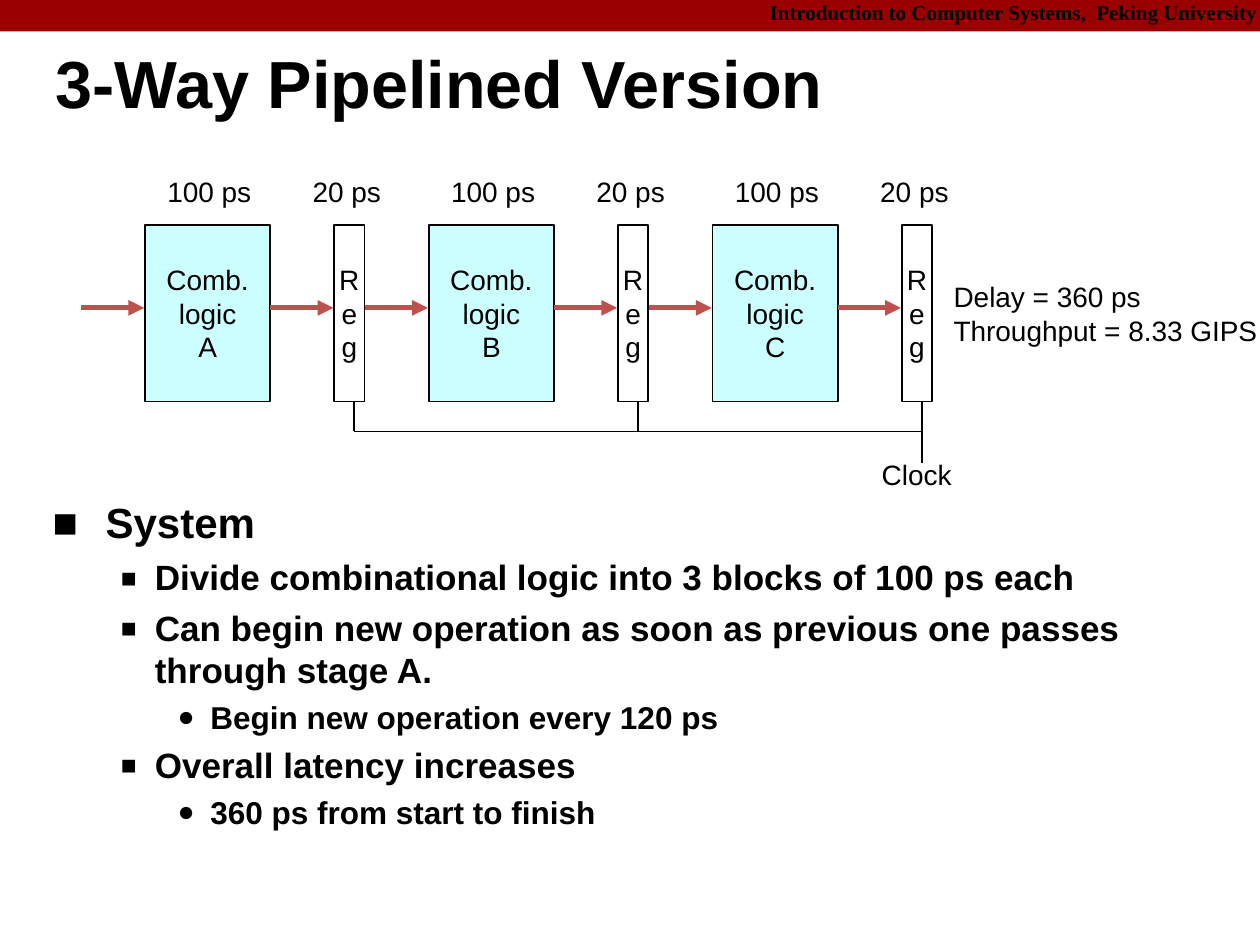
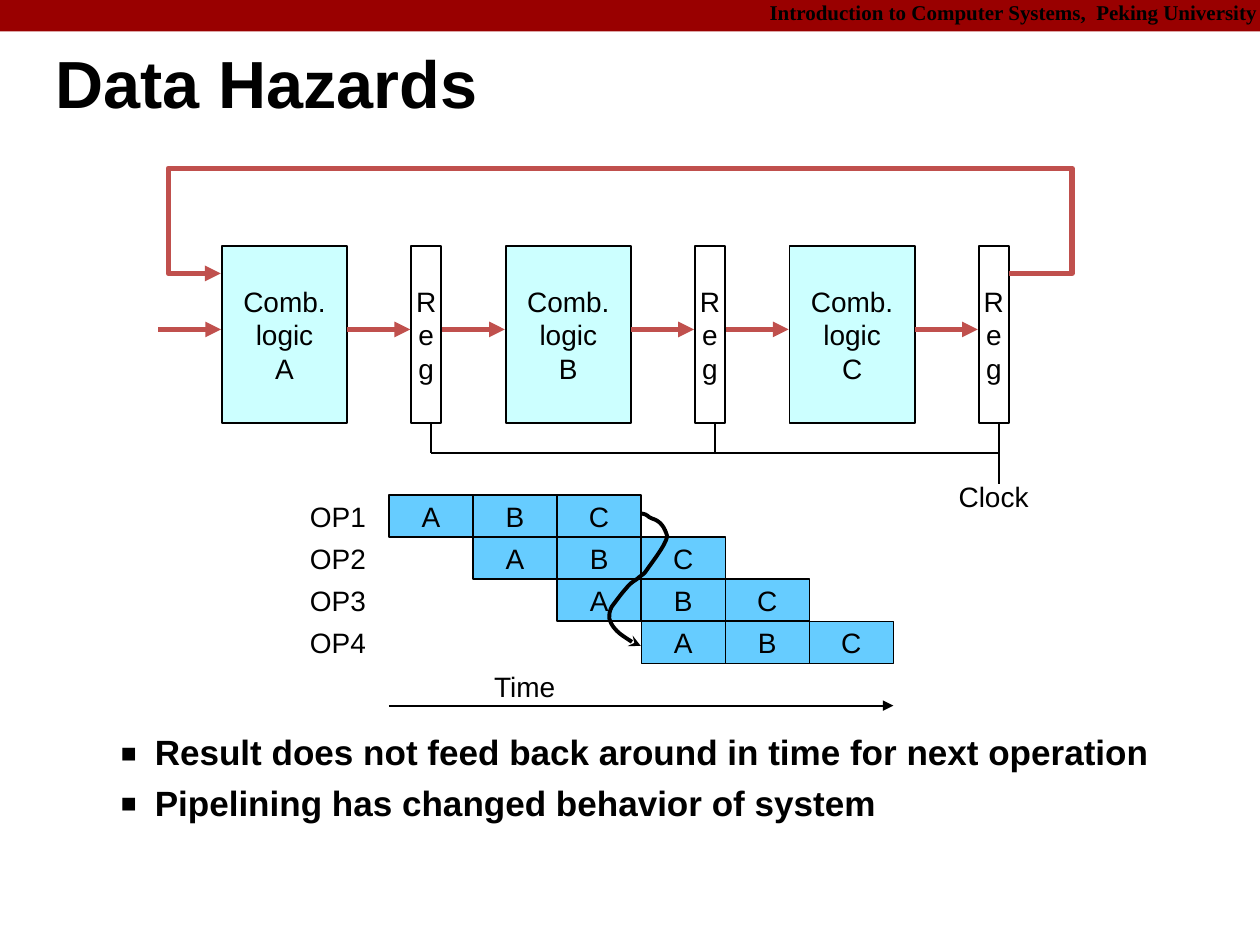
from lxml import etree
from pptx import Presentation
from pptx.dml.color import RGBColor
from pptx.enum import shapes, text
from pptx.oxml.ns import qn
from pptx.util import Pt

BLACK, WHITE, BAND, FLOW = "000000", "FFFFFF", "990000", "C0504D"
LOGIC, STAGE = "CCFFFF", "66CCFF"
RECT = shapes.MSO_SHAPE.RECTANGLE
STRAIGHT = shapes.MSO_CONNECTOR.STRAIGHT
LEFT, CENTER, RIGHT = text.PP_ALIGN.LEFT, text.PP_ALIGN.CENTER, text.PP_ALIGN.RIGHT
rgb = RGBColor.from_string

# Level: size, left margin, hanging indent, space before, line spacing, bullet, bullet %
LEVELS = [
    (24, 30.2, 30.2, 13.8, 0.95, "■", 100),
    (20, 58.3, 19.4, 5.25, 0.99, "■", 75),
    (18, 90, 18.7, 2, 1.07, "●", 90),
]
SLIDES = [
    {"title": "3-Way Pipelined Version", "left": 82.8, "top": 128.2, "body_top": 282,
     "body": [(0, "System"),
              (1, "Divide combinational logic into 3 blocks of 100 ps each"),
              (1, "Can begin new operation as soon as previous one passes through stage A."),
              (2, "Begin new operation every 120 ps"),
              (1, "Overall latency increases"),
              (2, "360 ps from start to finish")]},
    {"title": "Data Hazards", "left": 126.7, "top": 140.5, "body_top": 414.5,
     "body": [(1, "Result does not feed back around in time for next operation"),
              (1, "Pipelining has changed behavior of system")]},
]


def add_text(s, x, y, w, h, lines, size=16, bold=False, align=CENTER, font="Arial",
             spacing=None, fill=None, border=1):
    """Add a text box, or a bordered rectangle when a fill is given."""
    at = Pt(x), Pt(y), Pt(w), Pt(h)
    if fill:
        sp = s.shapes.add_shape(RECT, *at)
        sp.shadow.inherit = False
        sp.fill.solid()
        sp.fill.fore_color.rgb = rgb(fill)
        sp.line.color.rgb = rgb(BLACK)
        sp.line.width = Pt(border)
    else:
        sp = s.shapes.add_textbox(*at)
    tf = sp.text_frame
    tf.word_wrap = not fill
    tf.vertical_anchor = text.MSO_ANCHOR.MIDDLE if fill else text.MSO_ANCHOR.TOP
    for i, line in enumerate(lines):
        p = tf.add_paragraph() if i else tf.paragraphs[0]
        p.alignment = align
        p.line_spacing = spacing
        r = p.add_run()
        r.text = line
        r.font.name, r.font.size, r.font.bold = font, Pt(size), bold
        r.font.color.rgb = rgb(BLACK)
    return sp


def style_line(sp, color=BLACK, width=1, head=None):
    """Set stroke and arrowhead of a connector or freeform, without a shadow."""
    sp.line.color.rgb = rgb(color)
    sp.line.width = Pt(width)
    spPr = sp.element.spPr
    if head:
        etree.SubElement(spPr.find(qn("a:ln")), qn("a:tailEnd"), type=head)
    etree.SubElement(spPr, qn("a:effectLst"))


prs = Presentation()
prs.slide_width, prs.slide_height = Pt(719.3), Pt(539.3)

# Frame, title, pipeline and bullets of both slides
for content in SLIDES:
    s = prs.slides.add_slide(prs.slide_layouts[6])
    band = s.shapes.add_shape(RECT, 0, 0, prs.slide_width, Pt(18))
    band.shadow.inherit = False
    band.fill.solid()
    band.fill.fore_color.rgb = rgb(BAND)
    band.line.fill.background()
    add_text(s, 432, -2, 293, 20, ["Introduction to Computer Systems,  Peking University"],
             12, True, RIGHT, "Times New Roman", 0.9)
    tf = add_text(s, 31.7, 19.4, 685, 61.2, [content["title"]], 38, True, LEFT,
                  spacing=0.87).text_frame
    tf.margin_left = tf.margin_right = tf.margin_top = tf.margin_bottom = 0
    tf.vertical_anchor = text.MSO_ANCHOR.MIDDLE

    left, top = content["left"], content["top"]
    flow_y, bus_y = top + 47.5, top + 118
    lines = []
    for i, name in enumerate("ABC"):
        x = left + 162 * i
        reg_x, clock_x = x + 108, x + 119.5
        add_text(s, x, top, 71.5, 101, ["Comb.", "logic", name], fill=LOGIC)
        add_text(s, reg_x, top, 17.3, 101, "Reg", fill=WHITE)
        for end in (x, reg_x):
            lines.append((end - 36.5, flow_y, end - 0.5, flow_y, FLOW, 3, "triangle"))
        drop_end = top + 136 if name == "C" else bus_y
        lines.append((clock_x, top + 101, clock_x, drop_end, BLACK, 1, None))
    lines.append((left + 119.5, bus_y, clock_x, bus_y, BLACK, 1, None))
    for x1, y1, x2, y2, *style in lines:
        style_line(s.shapes.add_connector(STRAIGHT, Pt(x1), Pt(y1), Pt(x2), Pt(y2)), *style)
    add_text(s, clock_x - 38, top + 129.5, 70, 26, ["Clock"])

    body = content["body"]
    sp = add_text(s, 23, content["body_top"], 653, 506.5 - content["body_top"],
                  [line for _, line in body], bold=True, align=LEFT)
    paragraphs = zip(sp.text_frame.paragraphs, sp.element.iter(qn("a:pPr")), body)
    for p, pPr, (level, _) in paragraphs:
        size, margin, hang, before, spacing, bullet, percent = LEVELS[level]
        p.level = level
        p.runs[0].font.size = Pt(size)
        p.space_before, p.line_spacing = Pt(before), spacing
        pPr.set("marL", str(Pt(margin)))
        pPr.set("indent", str(-Pt(hang)))
        etree.SubElement(pPr, qn("a:buSzPct"), val=str(percent * 1000))
        etree.SubElement(pPr, qn("a:buFont"), typeface="Arial")
        etree.SubElement(pPr, qn("a:buChar"), char=bullet)

pipelined, hazards = prs.slides

# Delays above the pipeline
for i in range(3):
    add_text(pipelined, 80.5 + 162 * i, 95.8, 78, 26, ["100 ps"])
    add_text(pipelined, 163 + 162 * i, 95.8, 70, 26, ["20 ps"])
add_text(pipelined, 537.3, 156.2, 196, 45.5, ["Delay = 360 ps", "Throughput = 8.33 GIPS"],
         align=LEFT)

# Feedback from the last register to the first stage
feedback = [(576, 156), (612, 156), (612, 96), (96, 96), (96, 156), (126, 156)]

# Curve from the end of OP1 to the start of OP4: a start, then three points per Bézier
dependency = [
    (365.8, 293),
    (370.8, 293.8), (368.6, 294.5), (372.2, 295.9),
    (377.3, 297.4), (379.4, 301), (380.9, 306),
    (380.2, 311), (371.5, 321.8), (368.6, 326.2),
    (367.9, 327.6), (365, 329), (363.6, 330.5),
    (361.4, 331.9), (360, 332.6), (357.1, 336.2),
    (355, 338.4), (351.4, 343.4), (349.2, 346.3),
    (347.8, 349.2), (347.8, 350.6), (347.8, 352.8),
    (348.5, 355), (349.2, 357.1), (352.1, 360),
    (354.2, 362.2), (362.2, 367.2), (364.3, 368.6),
    (365.8, 367.9), (365.8, 367.9), (365.8, 368.6),
]

# Timing of four overlapping operations
for row in range(4):
    y = 282.5 + 24 * row
    sp = add_text(hazards, 150, y, 66, 24, [f"OP{row + 1}"], align=RIGHT)
    sp.text_frame.vertical_anchor = text.MSO_ANCHOR.MIDDLE
    for col, name in enumerate("ABC", start=row):
        add_text(hazards, 222 + 48 * col, y, 48, 24, [name], fill=STAGE, border=0.75)
add_text(hazards, 275, 378.7, 60, 26, ["Time"], align=LEFT)
style_line(hazards.shapes.add_connector(STRAIGHT, Pt(222), Pt(402.7), Pt(510), Pt(402.7)),
           head="triangle")

for route, *style in ((feedback, FLOW, 3, "triangle"), (dependency, BLACK, 2.25, "stealth")):
    points = [(Pt(x), Pt(y)) for x, y in route]
    fb = hazards.shapes.build_freeform(*points[0])
    fb.add_line_segments(points[1:], close=False)
    sp = fb.convert_to_shape()
    sp.fill.background()
    style_line(sp, *style)

# Turn each three points of the dependency into one Bézier segment
outline = next(sp.element.iter(qn("a:path")))
segments = outline.findall(qn("a:lnTo"))
for i in range(0, len(segments), 3):
    curve = etree.SubElement(outline, qn("a:cubicBezTo"))
    for segment in segments[i:i + 3]:
        curve.append(segment[0])
        outline.remove(segment)

prs.save("out.pptx")
